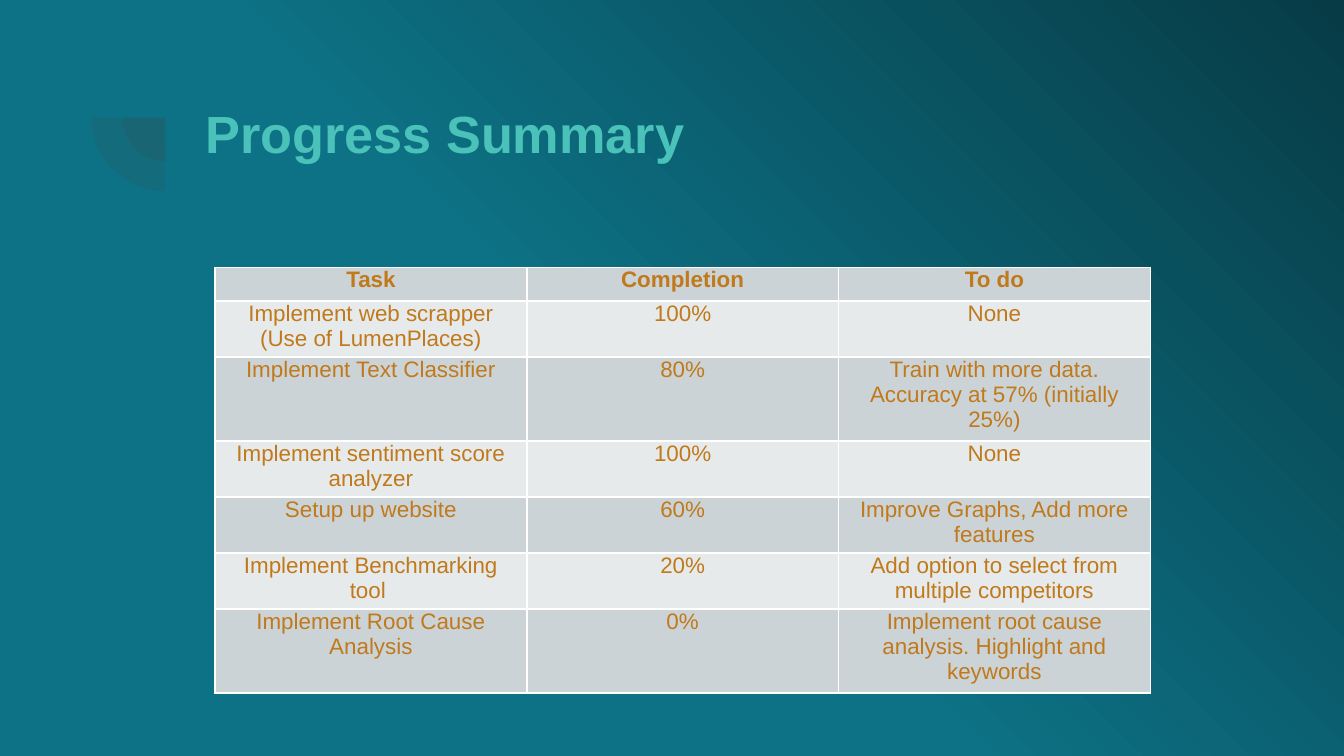
from pptx import Presentation, oxml, util as u
from pptx.dml.color import RGBColor
from pptx.enum import shapes, text
from pptx.oxml import ns

COLORS = {
    "teal": "0D7285", "deep": "073B46", "title": "4AC1B9", "ornament": "424242",
    "text": "C0791B", "dark_band": "CCD3D6", "light_band": "E7EAEB", "border": "FFFFFF",
}
ROWS = [
    ("Task", "Completion", "To do"),
    ("Implement web scrapper (Use of LumenPlaces)", "100%", "None"),
    ("Implement Text Classifier", "80%", "Train with more data. Accuracy at 57% (initially 25%)"),
    ("Implement sentiment score analyzer", "100%", "None"),
    ("Setup up website", "60%", "Improve Graphs, Add more features"),
    ("Implement Benchmarking tool ", "20%", "Add option to select from multiple competitors"),
    ("Implement Root Cause Analysis", "0%", "Implement root cause analysis. Highlight and keywords"),
]
LINE_HEIGHT = 5 / 24
ROW_HEIGHTS = [0.25] + [lines * LINE_HEIGHT for lines in (2, 3, 2, 2, 2, 3)]
COLUMN_WIDTH = 2.32


def format_run(paragraph, size, color, bold):
    font = paragraph.runs[0].font
    font.name = "Arial"
    font.size = u.Pt(size)
    font.bold = bold
    font.color.rgb = RGBColor.from_string(COLORS[color])


def color_xml(color, alpha=100):
    return f'<a:srgbClr val="{COLORS[color]}"><a:alpha val="{alpha * 1000}"/></a:srgbClr>'


presentation = Presentation()
presentation.slide_width = u.Inches(10)
presentation.slide_height = u.Inches(10 * 9 / 16)
slide = presentation.slides.add_slide(presentation.slide_layouts[6])

slide.background.fill.gradient()
gradient = slide.element.find(".//" + ns.qn("a:gradFill"))
gradient.getparent().replace(gradient, oxml.parse_xml(
    f'<a:gradFill {ns.nsdecls("a")} rotWithShape="1"><a:gsLst>'
    f'<a:gs pos="0">{color_xml("teal", 85)}</a:gs>'
    f'<a:gs pos="46000">{color_xml("teal")}</a:gs>'
    f'<a:gs pos="100000">{color_xml("deep")}</a:gs></a:gsLst>'
    '<a:path path="circle"><a:fillToRect t="100000" r="100000"/></a:path></a:gradFill>'))

for left, top, size in [(0.91, 0.55, 0.65), (0.68, 0.33, 1.09)]:
    pie = slide.shapes.add_shape(
        shapes.MSO_SHAPE.PIE, u.Inches(left), u.Inches(top), u.Inches(size), u.Inches(size))
    pie.adjustments[0] = 107.93
    pie.adjustments[1] = 162
    pie.rotation = 270
    pie.shadow.inherit = False
    pie.line.fill.background()
    pie.fill.solid()
    pie.fill.fore_color.rgb = RGBColor.from_string(COLORS["ornament"])
    pie_color = pie.element.spPr.find(ns.qn("a:solidFill"))[0]
    pie_color.append(oxml.parse_xml(f'<a:alpha {ns.nsdecls("a")} val="13000"/>'))

title = slide.shapes.add_textbox(u.Inches(1.43), u.Inches(0.65), u.Inches(7.69), u.Inches(1.09))
title_frame = title.text_frame
title_frame.word_wrap = True
title_frame.margin_left = title_frame.margin_right = u.Inches(0.1)
title_frame.margin_top = title_frame.margin_bottom = u.Inches(0.1)
title_frame.text = "Progress Summary"
format_run(title_frame.paragraphs[0], 28, "title", True)

table = slide.shapes.add_table(
    len(ROWS), len(ROWS[0]), u.Inches(1.6), u.Inches(1.99),
    u.Inches(COLUMN_WIDTH * len(ROWS[0])), u.Inches(sum(ROW_HEIGHTS))).table
for column in table.columns:
    column.width = u.Inches(COLUMN_WIDTH)
for row_index, labels in enumerate(ROWS):
    table.rows[row_index].height = u.Inches(ROW_HEIGHTS[row_index])
    band = "light_band" if row_index % 2 else "dark_band"
    for column_index, label in enumerate(labels):
        cell = table.cell(row_index, column_index)
        cell.margin_left = cell.margin_right = u.Inches(0.07)
        cell.margin_top = cell.margin_bottom = 0
        cell.text_frame.text = label
        paragraph = cell.text_frame.paragraphs[0]
        paragraph.alignment = text.PP_ALIGN.CENTER
        format_run(paragraph, 12, "text", row_index == 0)
        cell.fill.solid()
        cell.fill.fore_color.rgb = RGBColor.from_string(COLORS[band])
        properties = cell._tc.get_or_add_tcPr()
        for position, side in enumerate(["lnL", "lnR", "lnT", "lnB"]):
            properties.insert(position, oxml.parse_xml(
                f'<a:{side} {ns.nsdecls("a")} w="12700"><a:solidFill>'
                f'{color_xml("border")}</a:solidFill></a:{side}>'))

presentation.save("out.pptx")
